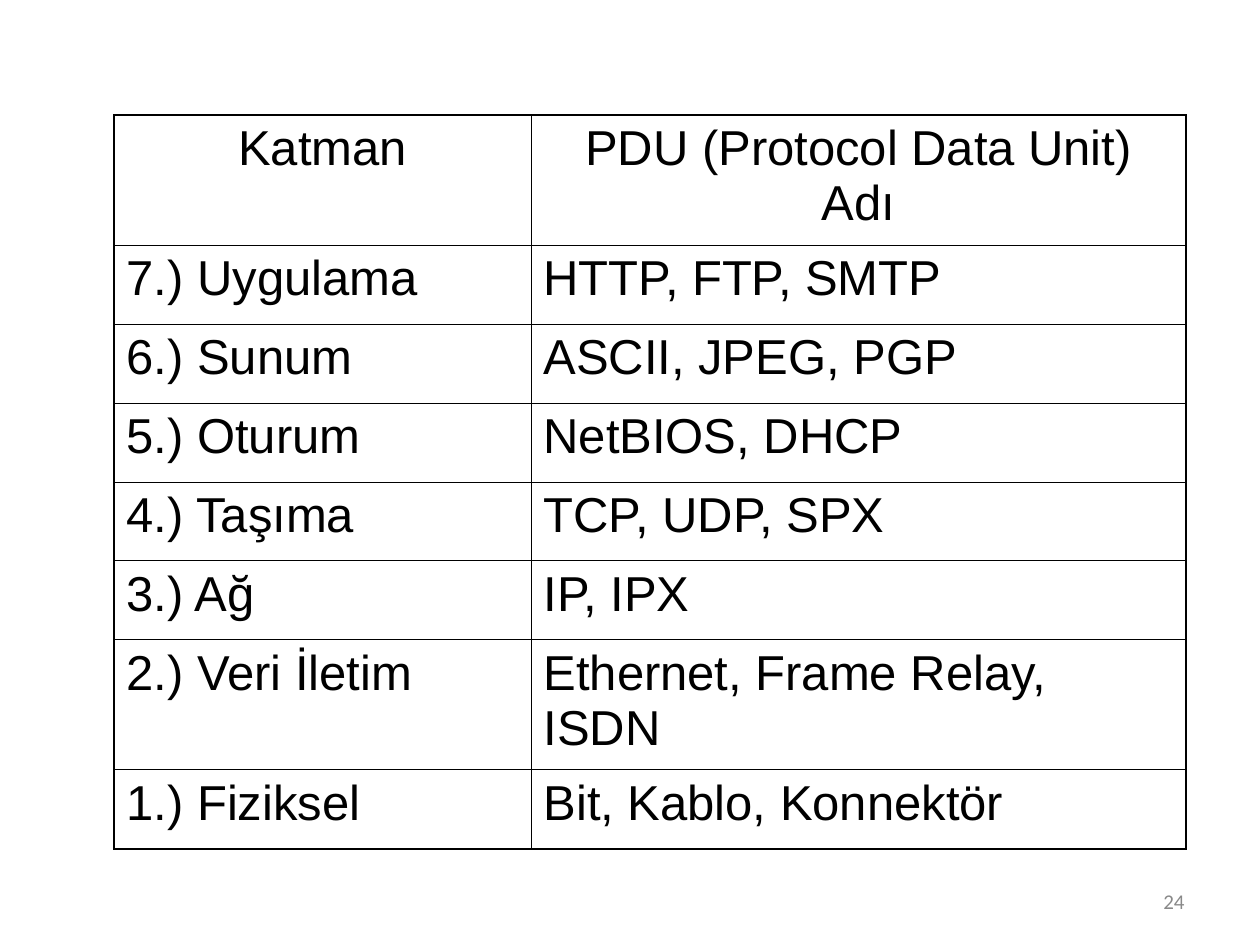
from lxml import etree
from pptx import Presentation
from pptx import util as u
from pptx.dml.color import RGBColor
from pptx.enum import text
from pptx.oxml import ns

PX = 914400 / 126
COLORS = {"ink": "000000", "muted": "898989", "paper": "FFFFFF"}
THICK, THIN = 1.08, 0.45
LAYERS = [
    ("Katman", "PDU (Protocol Data Unit) Adı"),
    ("7.) Uygulama", "HTTP, FTP, SMTP"),
    ("6.) Sunum", "ASCII, JPEG, PGP"),
    ("5.) Oturum", "NetBIOS, DHCP"),
    ("4.) Taşıma", "TCP, UDP, SPX"),
    ("3.) Ağ", "IP, IPX"),
    ("2.) Veri İletim", "Ethernet, Frame Relay, ISDN"),
    ("1.) Fiziksel", "Bit, Kablo, Konnektör"),
]
COL_WIDTHS = [417, 655]
ROW_HEIGHTS = [130, 79, 79, 79, 79, 79, 130, 79]


def px(n):
    return u.Emu(round(n * PX))


class Deck:
    def __init__(self, width, height):
        self.prs = Presentation()
        self.prs.slide_width, self.prs.slide_height = px(width), px(height)
        self.s = None

    def slide(self):
        self.s = self.prs.slides.add_slide(self.prs.slide_layouts[6])
        fill = self.s.background.fill
        fill.solid()
        fill.fore_color.rgb = RGBColor.from_string(COLORS["paper"])

    def set_text(self, tf, content, font, size, color, align):
        tf.text = content
        p = tf.paragraphs[0]
        p.alignment = align
        p.font.name, p.font.size = font, u.Pt(size)
        p.font.color.rgb = RGBColor.from_string(COLORS[color])

    def border(self, cell, side, width):
        tc_pr = cell._tc.get_or_add_tcPr()
        ln = etree.SubElement(tc_pr, ns.qn(f"a:ln{side}"), w=str(u.Pt(width)))
        fill = etree.SubElement(ln, ns.qn("a:solidFill"))
        etree.SubElement(fill, ns.qn("a:srgbClr"), val=COLORS["ink"])

    def table(self, left, top, widths, heights, rows):
        sp = self.s.shapes.add_table(len(rows), len(widths), px(left), px(top),
                                     px(sum(widths)), px(sum(heights)))
        table = sp.table
        table.first_row = table.horz_banding = False
        for column, width in zip(table.columns, widths):
            column.width = px(width)
        for row, height in zip(table.rows, heights):
            row.height = px(height)
        last_row, last_col = len(rows) - 1, len(widths) - 1
        for i, row in enumerate(rows):
            align = text.PP_ALIGN.LEFT if i else text.PP_ALIGN.CENTER
            for j, content in enumerate(row):
                cell = table.cell(i, j)
                self.set_text(cell.text_frame, content, "Arial", 28, "ink", align)
                outer = {"L": j == 0, "R": j == last_col, "T": i == 0, "B": i == last_row}
                for side, is_outer in outer.items():
                    self.border(cell, side, THICK if is_outer else THIN)
                cell.fill.background()

    def page_number(self, left, top, width, height, number):
        sp = self.s.shapes.add_textbox(px(left), px(top), px(width), px(height))
        tf = sp.text_frame
        tf.word_wrap = True
        tf.vertical_anchor = text.MSO_ANCHOR.MIDDLE
        self.set_text(tf, number, "Calibri", 12, "muted", text.PP_ALIGN.RIGHT)


def main():
    deck = Deck(1260, 945)
    deck.slide()
    deck.table(114, 115, COL_WIDTHS, ROW_HEIGHTS, LAYERS)
    deck.page_number(903, 876, 294, 50, "24")
    deck.prs.save("out.pptx")


if __name__ == "__main__":
    main()
